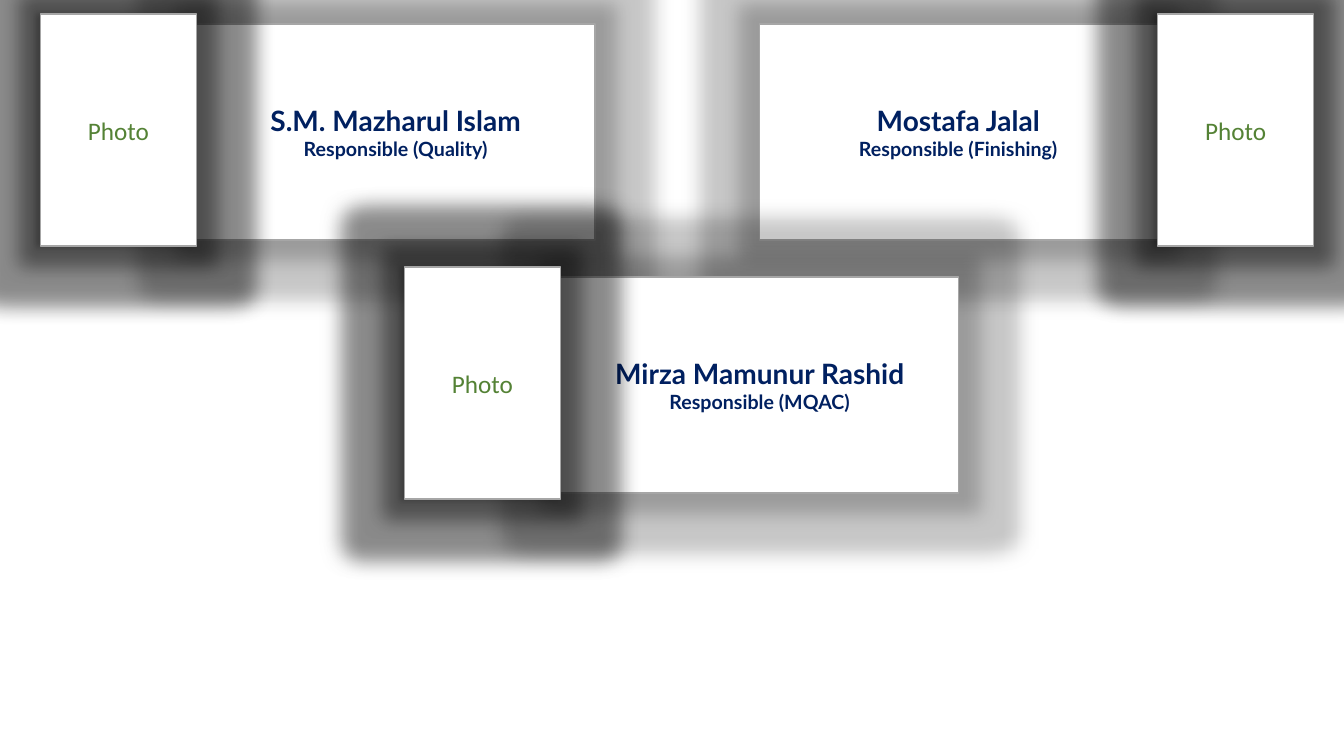
from pptx import Presentation
from pptx.util import Inches, Pt
from pptx.dml.color import RGBColor as RGB
from pptx.enum.shapes import MSO_SHAPE as Shape
from pptx.enum.text import MSO_ANCHOR as Anchor, PP_ALIGN as Align
from pptx.oxml import parse_xml
from pptx.oxml.ns import nsdecls

COLORS = {"fill": "FFFFFF", "edge": "A6A6A6", "name": "002060",
          "photo": "548235", "shade": "000000"}
CARD = (3.95, 2.14)
PHOTO = (1.55, 2.3)
DROP = 0.1  # card top below photo top


class Deck:
    def __init__(self):
        self.prs = Presentation()
        self.prs.slide_width = Inches(13.33)
        self.prs.slide_height = Inches(7.5)
        self.slide = self.prs.slides.add_slide(self.prs.slide_layouts[6])

    def glow(self, box, alpha, drop):
        """Add a soft halo and, if asked, a shadow to the left."""
        shade = f'<a:srgbClr val="{COLORS["shade"]}"><a:alpha val="%d"/></a:srgbClr>'
        xml = f'<a:glow rad="{Inches(0.4)}">{shade % (alpha * 1000)}</a:glow>'
        if drop:
            xml += (f'<a:outerShdw blurRad="{Pt(4)}" dist="{Pt(3)}" dir="10800000" '
                    f'algn="r" rotWithShape="0">{shade % 40000}</a:outerShdw>')
        props = box.fill._xPr
        box.shadow.inherit = False
        props.replace(props.effectLst if hasattr(props, "effectLst") else props[-1],
                      parse_xml(f'<a:effectLst {nsdecls("a")}>{xml}</a:effectLst>'))

    def box(self, group, left, top, size, lines, font, color, alpha, drop=False):
        """Add a framed box; lines holds (text, size, bold)."""
        width, height = size
        box = group.shapes.add_shape(Shape.RECTANGLE, Inches(left), Inches(top),
                                     Inches(width), Inches(height))
        box.fill.solid()
        box.fill.fore_color.rgb = RGB.from_string(COLORS["fill"])
        box.line.color.rgb = RGB.from_string(COLORS["edge"])
        box.line.width = Pt(1)
        self.glow(box, alpha, drop)
        frame = box.text_frame
        frame.word_wrap = True
        frame.vertical_anchor = Anchor.MIDDLE
        frame.text = "\n".join(text for text, _, _ in lines)
        for para, (_, points, bold) in zip(frame.paragraphs, lines):
            para.alignment = Align.CENTER
            style = para.runs[0].font
            style.name, style.size, style.bold = font, Pt(points), bold
            style.color.rgb = RGB.from_string(COLORS[color])

    def person(self, left, top, name, role, flip=False):
        """Add a name card with its photo on the left, or right if flipped."""
        group = self.slide.shapes.add_group_shape()
        card = left if flip else left + PHOTO[0]
        photo = left + CARD[0] if flip else left
        self.box(group, card, top + DROP, CARD,
                 [(name, 20, True), (role, 14, True)], "Lato", "name", 22)
        self.box(group, photo, top, PHOTO, [("Photo", 18, False)],
                 "Calibri", "photo", 36, drop=True)


def main():
    deck = Deck()
    # Top row
    deck.person(0.4, 0.14, "S.M. Mazharul Islam", "Responsible (Quality)")
    deck.person(7.53, 0.14, "Mostafa Jalal", "Responsible (Finishing)", flip=True)
    # Centre row
    deck.person(4.01, 2.65, "Mirza Mamunur Rashid", "Responsible (MQAC)")
    deck.prs.save("out.pptx")


if __name__ == "__main__":
    main()
